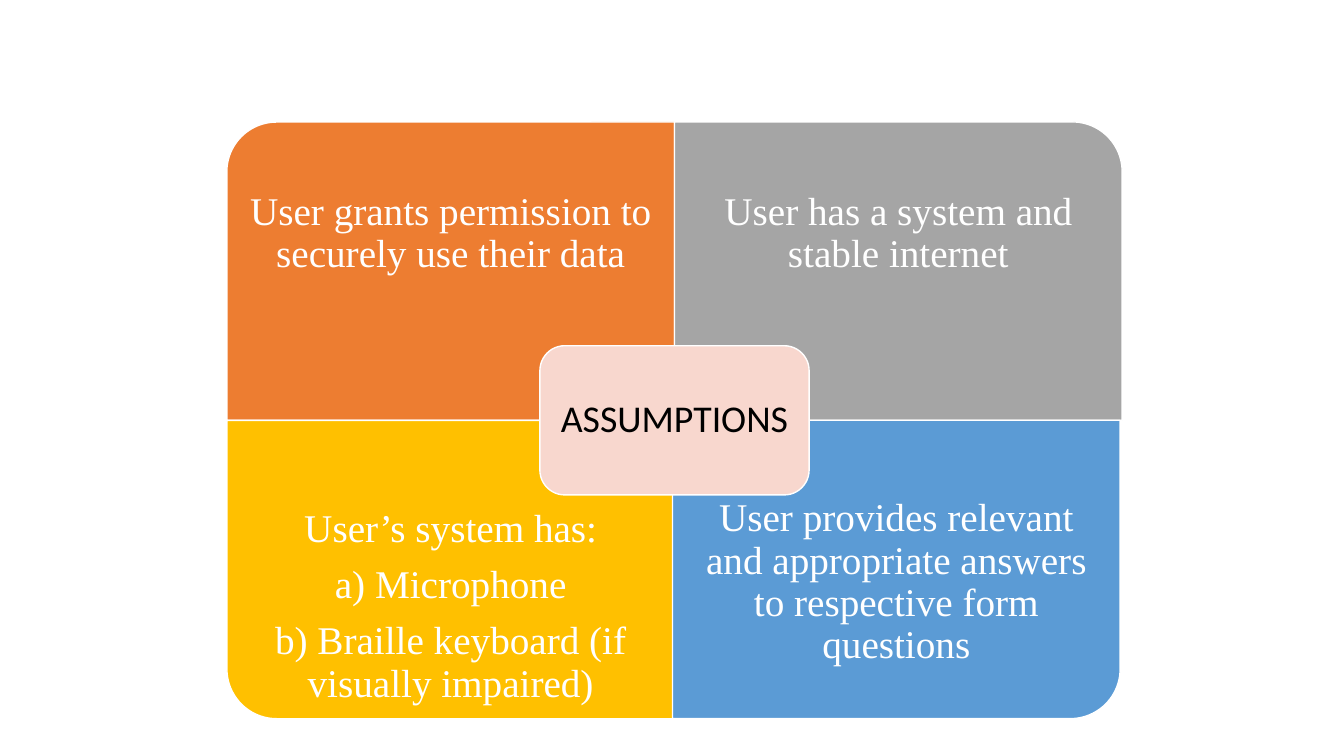
import pptx
import pptx.util
import pptx.dml.color
import pptx.enum.shapes
import pptx.enum.text
from pptx.util import Inches

THEME = {
    "line": "FFFFFF", "panel_text": "FFFFFF", "hub_text": "000000", "hub": "F8D7CE",
    "panel_font": "Times New Roman", "hub_font": "Calibri",
    "panel_size": 28, "hub_size": 27, "space_after": 10, "line_width": 1,
}

# Content: column, row, rotation, fill, left shift, top and bottom insets, lines
PANELS = [
    (0, 0, 270, "ED7D31", 0, (0.22, 0.22),
     ["User grants permission to securely use their data"]),
    (1, 0, 0, "A5A5A5", 0, (0.22, 0.22),
     ["User has a system and stable internet"]),
    (0, 1, 180, "FFC000", 0, (0.22, 0.22),
     ["User’s system has:", "a) Microphone",
      "b) Braille keyboard (if visually impaired)"]),
    (1, 1, 90, "5B9BD5", -0.02, (0, 0.48),
     ["User provides relevant and appropriate answers to respective form questions"]),
]
HUB_TEXT = "ASSUMPTIONS"

# Geometry in inches
LEFT, TOP = 2.25, 1.21
PANEL_W, PANEL_H = 4.44, 2.96
TEXT_H = PANEL_H * 0.75
HUB_W, HUB_H = 2.67, 1.48

SHAPES = pptx.enum.shapes.MSO_SHAPE


def color(value):
    return pptx.dml.color.RGBColor.from_string(value)


def add_block(page, kind, center_x, center_y, width, height, fill, rotation=0):
    block = page.shapes.add_shape(
        kind, Inches(center_x - width / 2), Inches(center_y - height / 2),
        Inches(width), Inches(height))
    block.rotation = rotation
    block.shadow.inherit = False
    block.fill.solid()
    block.fill.fore_color.rgb = color(fill)
    block.line.color.rgb = color(THEME["line"])
    block.line.width = pptx.util.Pt(THEME["line_width"])
    return block


def write(box, lines, role, side, top, bottom):
    frame = box.text_frame
    frame.word_wrap = True
    frame.vertical_anchor = pptx.enum.text.MSO_ANCHOR.MIDDLE
    frame.margin_left = frame.margin_right = Inches(side)
    frame.margin_top, frame.margin_bottom = Inches(top), Inches(bottom)
    frame.text = "\n".join(lines)
    for para in frame.paragraphs:
        para.alignment = pptx.enum.text.PP_ALIGN.CENTER
        para.line_spacing = 0.9
        para.space_after = pptx.util.Pt(THEME["space_after"])
        para.font.name = THEME[role + "_font"]
        para.font.size = pptx.util.Pt(THEME[role + "_size"])
        para.font.color.rgb = color(THEME[role + "_text"])


def main():
    deck = pptx.Presentation()
    deck.slide_width, deck.slide_height = Inches(13.33), Inches(7.5)
    page = deck.slides.add_slide(deck.slide_layouts[6])

    # Four panels, each turned so that its round corner points outwards
    for column, row, rotation, fill, shift, insets, lines in PANELS:
        left = LEFT + column * PANEL_W + shift
        top = TOP + row * PANEL_H
        sideways = rotation in (90, 270)
        width, height = (PANEL_H, PANEL_W) if sideways else (PANEL_W, PANEL_H)
        add_block(page, SHAPES.ROUND_1_RECTANGLE, left + PANEL_W / 2,
                  top + PANEL_H / 2, width, height, fill, rotation)
        text_top = top + row * (PANEL_H - TEXT_H)
        box = page.shapes.add_textbox(Inches(left), Inches(text_top),
                                      Inches(PANEL_W), Inches(TEXT_H))
        write(box, lines, "panel", 0.22, *insets)

    # Hub over the point where the panels meet
    hub = add_block(page, SHAPES.ROUNDED_RECTANGLE, LEFT + PANEL_W,
                    TOP + PANEL_H, HUB_W, HUB_H, THEME["hub"])
    write(hub, [HUB_TEXT], "hub", 0.11, 0.11, 0.11)

    deck.save("out.pptx")


if __name__ == "__main__":
    main()
